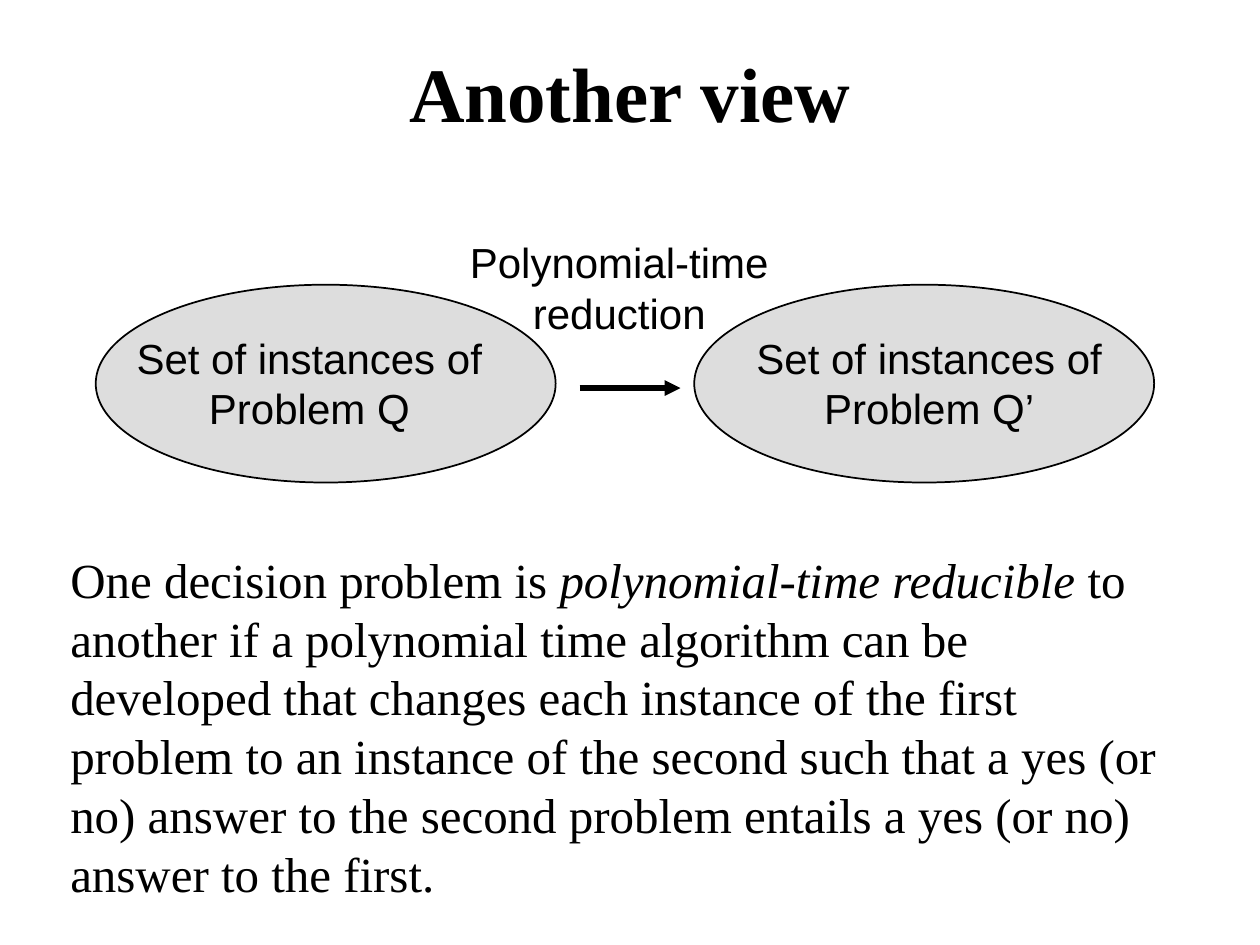
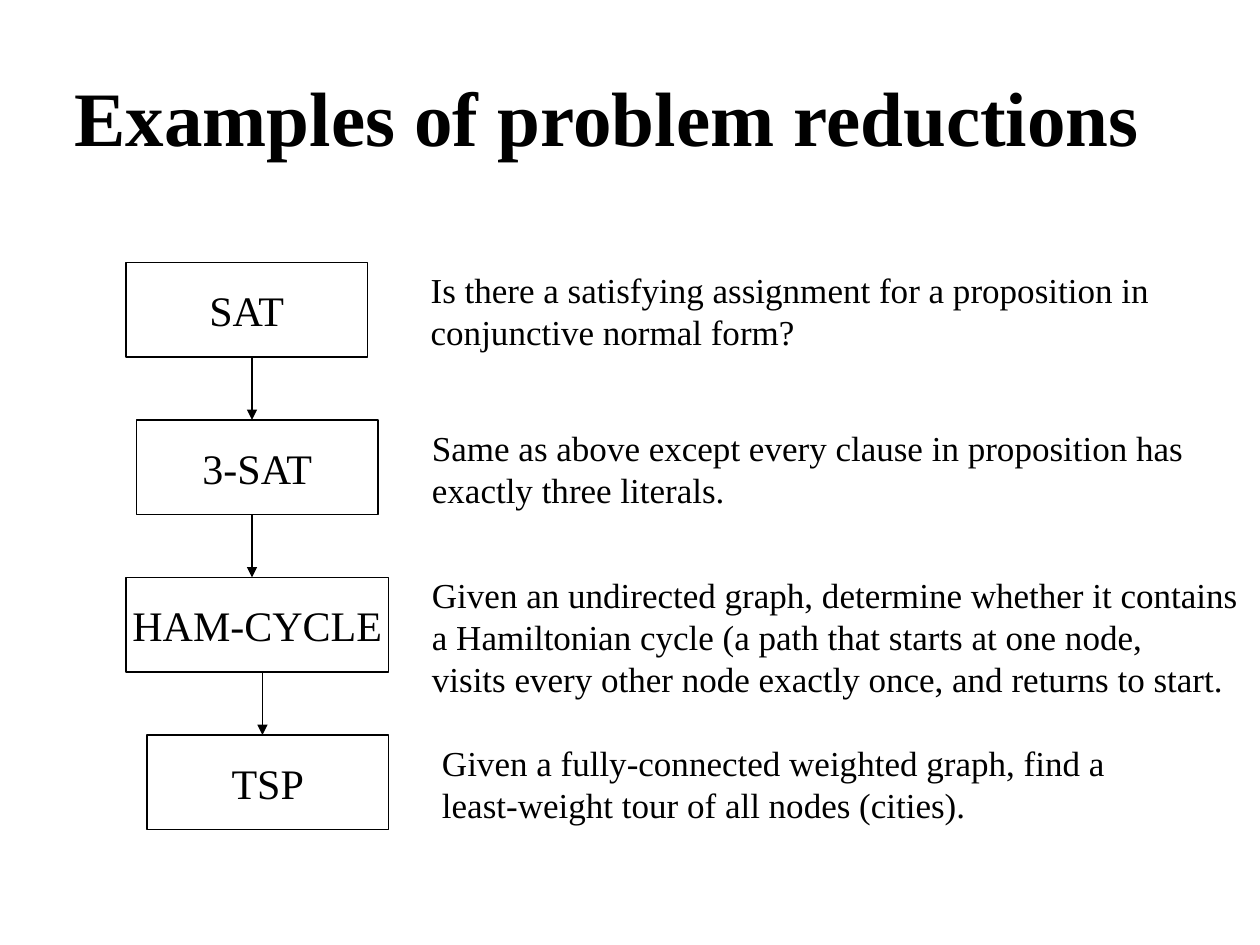
import pptx
import pptx.dml.color
import pptx.enum.shapes
import pptx.enum.text
import pptx.oxml
import pptx.oxml.ns
import pptx.util
from lxml import etree

COLOURS = {"ink": "000000", "oval": "DDDDDD"}
SERIF, SANS = "Times New Roman", "Arial"
SHAPE = pptx.enum.shapes.MSO_SHAPE
ANCHOR = pptx.enum.text.MSO_ANCHOR
ALIGN = pptx.enum.text.PP_ALIGN
inches = pptx.util.Inches

# Boxes are left, top, width, height in inches.
VIEW_TITLE = ("Another view", (0.75, 0.29, 8.5, 0.85), ANCHOR.BOTTOM)
OVAL_TOP, OVAL_WIDTH, OVAL_HEIGHT = 2.26, 3.65, 1.57
PROBLEM_SETS = [  # label, oval left, label left
    ("Set of instances of Problem Q", 0.76, 0.91),
    ("Set of instances of Problem Q’", 5.51, 5.83),
]
REDUCTION_LABEL = ["Polynomial-time", "reduction"]
DEFINITION = [
    ("One decision problem is ", False),
    ("polynomial-time reducible ", True),
    ("to another if a polynomial time algorithm can be developed that changes "
     "each instance of the first problem to an instance of the second such that "
     "a yes (or no) answer to the second problem entails a yes (or no) answer "
     "to the first.", False),
]

EXAMPLES_TITLE = ("Examples of problem reductions", (0.39, 0.25, 8.86, 1.33), ANCHOR.MIDDLE)
# The chain sits on a grid of twelfths of an inch.
UNIT = 1 / 12
CHAIN_TOP, STEP, BOX_HEIGHT = 25 * UNIT, 15 * UNIT, 9 * UNIT
CHAIN = [  # name, left and width in units, question box left, rise and width, question
    ("SAT", 12, 23, (3.32, 0, 5.97),
     ["Is there a satisfying assignment for a proposition in",
      "conjunctive normal form?"]),
    ("3-SAT", 13, 23, (3.33, 0, 6.23),
     ["Same as above except every clause in proposition has",
      "exactly three literals."]),
    ("HAM-CYCLE", 12, 25, (3.33, 1, 6.67),
     ["Given an undirected graph, determine whether it contains",
      "a Hamiltonian cycle (a path that starts at one node,",
      "visits every other node exactly once, and returns to start."]),
    ("TSP", 14, 23, (3.41, 0, 5.46),
     ["Given a fully-connected weighted graph, find a",
      "least-weight tour of all nodes (cities)."]),
]
ARROW_COLUMNS = [24, 24, 25]


def colour(name):
    return pptx.dml.color.RGBColor.from_string(COLOURS[name])


def write(shape, paragraphs, size, font=SERIF, align=ALIGN.LEFT, anchor=ANCHOR.TOP,
          wrap=True, bold=False):
    """Fill a shape with paragraphs, each a string or a list of (text, italic)."""
    frame = shape.text_frame
    frame.word_wrap, frame.vertical_anchor = wrap, anchor
    for index, content in enumerate(paragraphs):
        paragraph = frame.add_paragraph() if index else frame.paragraphs[0]
        paragraph.alignment = align
        paragraph.font.size, paragraph.font.name = pptx.util.Pt(size), font
        paragraph.font.bold = bold
        paragraph.font.color.rgb = colour("ink")
        runs = [(content, False)] if isinstance(content, str) else content
        for text, italic in runs:
            run = paragraph.add_run()
            run.text = text
            if italic:
                run.font.italic = True


def add_text(slide, box, paragraphs, size, **style):
    write(slide.shapes.add_textbox(*map(inches, box)), paragraphs, size, **style)


def add_title(slide, text, box, anchor):
    add_text(slide, box, [text], 44, align=ALIGN.CENTER, anchor=anchor, bold=True)


def add_outline(slide, preset, box, line_width, fill=None):
    shape = slide.shapes.add_shape(preset, *map(inches, box))
    shape.shadow.inherit = False
    if fill:
        shape.fill.solid()
        shape.fill.fore_color.rgb = colour(fill)
    else:
        shape.fill.background()
    shape.line.color.rgb = colour("ink")
    shape.line.width = pptx.util.Pt(line_width)
    return shape


def add_arrow(slide, start, end, line_width):
    arrow = slide.shapes.add_connector(
        pptx.enum.shapes.MSO_CONNECTOR.STRAIGHT, *map(inches, start + end))
    arrow.line.color.rgb = colour("ink")
    arrow.line.width = pptx.util.Pt(line_width)
    qn = pptx.oxml.ns.qn
    etree.SubElement(arrow.line._get_or_add_ln(), qn("a:tailEnd"), type="triangle")
    etree.SubElement(arrow._element.spPr, qn("a:effectLst"))


def build_view(slide):
    add_title(slide, *VIEW_TITLE)
    label_style = {"font": SANS, "align": ALIGN.CENTER}
    for label, oval_left, label_left in PROBLEM_SETS:
        add_outline(slide, SHAPE.OVAL, (oval_left, OVAL_TOP, OVAL_WIDTH, OVAL_HEIGHT),
                    1, "oval")
        add_text(slide, (label_left, 2.59, 3.09, 0.9), [label], 24, **label_style)
    add_arrow(slide, (4.6, 3.08), (5.4, 3.08), 3)
    add_text(slide, (3.5, 1.83, 2.83, 0.9), REDUCTION_LABEL, 24, **label_style)
    add_text(slide, (0.46, 4.31, 9, 2.9), [DEFINITION], 28)


def build_examples(slide):
    add_title(slide, *EXAMPLES_TITLE)
    for row, (name, left, width, (text_left, rise, text_width), question) in enumerate(CHAIN):
        top = CHAIN_TOP + row * STEP
        box = add_outline(slide, SHAPE.RECTANGLE,
                          (left * UNIT, top, width * UNIT, BOX_HEIGHT), 0.75)
        write(box, [name], 24, align=ALIGN.CENTER, anchor=ANCHOR.MIDDLE, wrap=False)
        text_height = 0.1 + len(question) / 3
        add_text(slide, (text_left, top - rise * UNIT, text_width, text_height), question, 20,
                 wrap=len(question) > 2)
    for row, column in enumerate(ARROW_COLUMNS):
        top = CHAIN_TOP + row * STEP
        add_arrow(slide, (column * UNIT, top + BOX_HEIGHT), (column * UNIT, top + STEP), 0.75)


def main():
    deck = pptx.Presentation()
    deck.slide_width, deck.slide_height = inches(10), inches(7.5)
    for build in (build_view, build_examples):
        build(deck.slides.add_slide(deck.slide_layouts[6]))
    deck.save("out.pptx")


if __name__ == "__main__":
    main()
